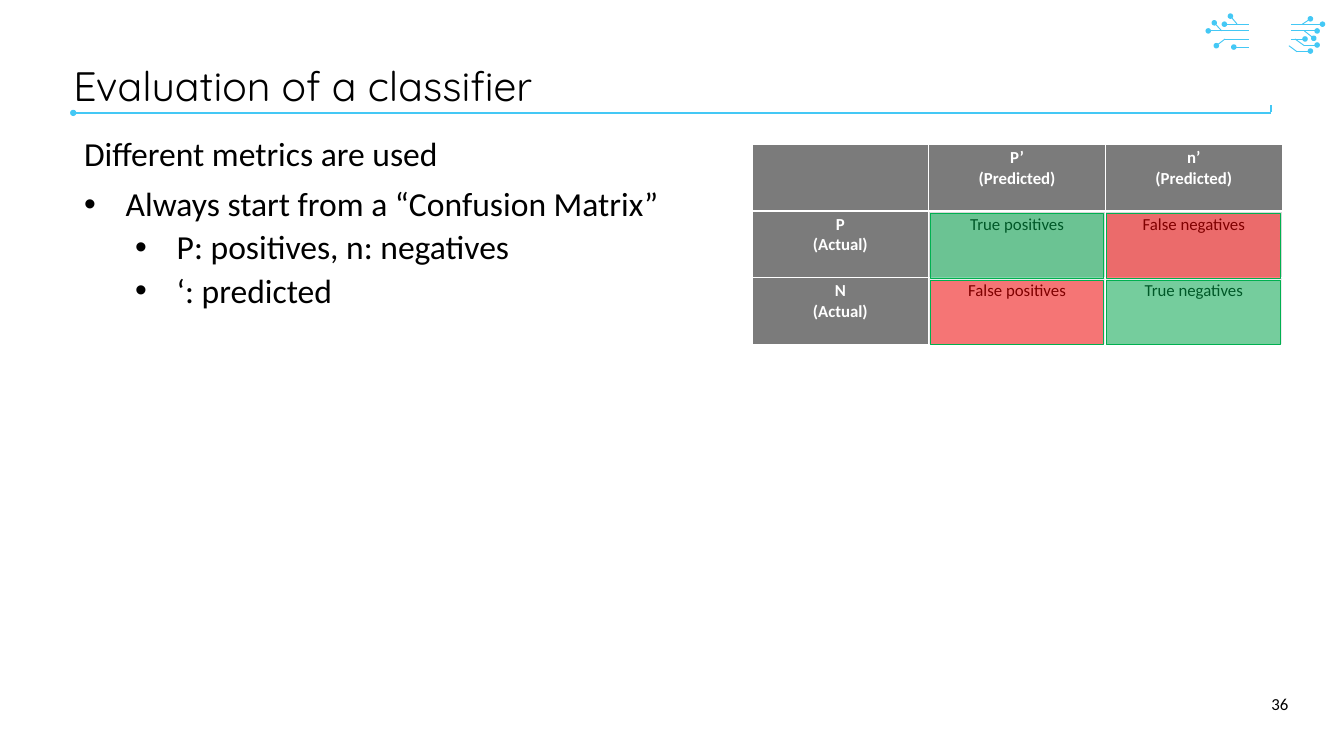
from dataclasses import dataclass
from typing import NamedTuple

from lxml import etree
from pptx import Presentation
from pptx import util as u
from pptx.dml.color import RGBColor
from pptx.enum import shapes, text
from pptx.oxml import ns

# The slide is a grid of 20 columns by 11.25 rows of square units
COLUMNS, ROWS = 20, 11.25
UNIT = u.Inches(1)


@dataclass(frozen=True)
class Theme:
    ink: str = "000000"
    paper: str = "FFFFFF"
    accent: str = "44C8F5"
    header: str = "7B7B7B"
    bands: tuple = ("D7D7D7", "ECECEC")
    correct: str = "00B050"
    wrong: str = "FF0000"
    heading_font: str = "Quicksand"
    body_font: str = "Calibri"
    title_size: float = 44
    body_size: float = 36
    small_size: float = 18


THEME = Theme()


class Box(NamedTuple):
    left: float
    top: float
    width: float
    height: float


class Trace(NamedTuple):
    x1: float
    y1: float
    x2: float
    y2: float
    dot: bool = True


class Item(NamedTuple):
    words: str
    level: int = 0
    margin: float = 0
    before: float = 0
    bullet: bool = True


CIRCUIT = [
    # left half
    Trace(18.58, 0.36, 18.22, 0.36), Trace(18.58, 0.46, 17.98, 0.46),
    Trace(18.58, 0.58, 18.22, 0.58, False), Trace(18.23, 0.58, 18.1, 0.68),
    Trace(18.58, 0.7, 18.36, 0.7), Trace(18.41, 0.36, 18.31, 0.24),
    Trace(18.18, 0.46, 18.07, 0.34),
    # right half
    Trace(19.21, 0.46, 19.6, 0.46), Trace(19.41, 0.68, 19.27, 0.58, False),
    Trace(19.4, 0.67, 19.6, 0.67), Trace(19.21, 0.58, 19.42, 0.58),
    Trace(19.41, 0.46, 19.55, 0.57), Trace(19.21, 0.36, 19.68, 0.36),
    Trace(19.3, 0.77, 19.18, 0.68, False), Trace(19.3, 0.76, 19.5, 0.76),
    Trace(19.38, 0.36, 19.5, 0.28),
]
TITLE_RULE = [Trace(18.91, 1.68, 1.09, 1.68), Trace(18.91, 1.67, 18.91, 1.57, False)]

ITEMS = [
    Item("Different metrics are used", bullet=False),
    Item("Always start from a “Confusion Matrix”", 0, 0.62, 15),
    Item("P: positives, n: negatives", 1, 1.38, 7.5),
    Item("‘: predicted", 1, 1.38, 7.5),
]
HANGING = 0.62

MATRIX = [
    [[], ["P’", "(Predicted)"], ["n’", "(Predicted)"]],
    [["P", "(Actual)"], ["True positives"], ["False negatives"]],
    [["N", "(Actual)"], ["False positives"], ["True negatives"]],
]
MATRIX_LEFT, MATRIX_TOP = 11.19, 2.15
CELL_WIDTH, CELL_HEIGHT = 2.63, 0.99


def grid(value: float) -> int:
    return int(value * UNIT)


def place(shape, box: Box) -> None:
    shape.left, shape.top, shape.width, shape.height = map(grid, box)


def add_element(parent, tag: str, **attributes: str):
    return etree.SubElement(parent, ns.qn(tag), **attributes)


def add_run(paragraph, words: str, size: float, color: str = THEME.ink,
            font: str = THEME.body_font, bold: bool = False) -> None:
    run = paragraph.add_run()
    run.text = words
    run.font.name, run.font.size, run.font.bold = font, u.Pt(size), bold
    run.font.color.rgb = RGBColor.from_string(color)


def add_trace(slide, trace: Trace, width: float) -> None:
    line = slide.shapes.add_connector(
        shapes.MSO_CONNECTOR.STRAIGHT, *map(grid, trace[:4]))
    line.line.color.rgb = RGBColor.from_string(THEME.accent)
    line.line.width = u.Pt(width)
    if trace.dot:
        add_element(line.line._get_or_add_ln(), "a:tailEnd", type="oval")
    add_element(line._element.spPr, "a:effectLst")


def add_title(slide, words: str) -> None:
    title = slide.shapes.title
    place(title, Box(1.09, 0.97, 16.39, 0.69))
    frame = title.text_frame
    frame.auto_size = text.MSO_AUTO_SIZE.NONE
    frame.margin_left = frame.margin_right = frame.margin_top = frame.margin_bottom = 0
    paragraph = frame.paragraphs[0]
    paragraph.alignment = text.PP_ALIGN.LEFT
    paragraph.line_spacing = 0.9
    add_run(paragraph, words, THEME.title_size, font=THEME.heading_font)


def add_list(slide, items: list[Item]) -> None:
    body = slide.placeholders[1]
    place(body, Box(1.15, 1.99, 18.13, 6.68))
    frame = body.text_frame
    frame.auto_size = text.MSO_AUTO_SIZE.NONE
    for index, item in enumerate(items):
        paragraph = frame.add_paragraph() if index else frame.paragraphs[0]
        paragraph.level = item.level
        properties = paragraph._p.get_or_add_pPr()
        properties.set("marL", str(grid(item.margin)))
        properties.set("indent", str(-grid(HANGING) if item.bullet else 0))
        if item.bullet:
            add_element(properties, "a:buFont", typeface="Arial")
            add_element(properties, "a:buChar", char="•")
        else:
            add_element(properties, "a:buNone")
        paragraph.line_spacing = 0.9
        paragraph.space_before = u.Pt(item.before)
        add_run(paragraph, item.words, THEME.body_size)


def add_page_number(slide, number: str) -> None:
    box = slide.shapes.add_textbox(0, 0, 0, 0)
    place(box, Box(18.18, 10.18, 1.09, 0.6))
    frame = box.text_frame
    frame.word_wrap = True
    frame.vertical_anchor = text.MSO_ANCHOR.MIDDLE
    paragraph = frame.paragraphs[0]
    paragraph.alignment = text.PP_ALIGN.RIGHT
    add_run(paragraph, number, THEME.small_size)


def add_border(cell, side: str, width: float) -> None:
    line = add_element(cell._tc.get_or_add_tcPr(), f"a:ln{side}", w=str(u.Pt(width)))
    add_element(add_element(line, "a:solidFill"), "a:srgbClr", val=THEME.paper)


def add_matrix(slide) -> None:
    size = len(MATRIX)
    table = slide.shapes.add_table(
        size, size, grid(MATRIX_LEFT), grid(MATRIX_TOP),
        grid(size * CELL_WIDTH), grid(size * CELL_HEIGHT)).table
    table.horz_banding = False
    for index in range(size):
        table.columns[index].width = grid(CELL_WIDTH)
        table.rows[index].height = grid(CELL_HEIGHT)
    for row, cells in enumerate(MATRIX):
        for column, lines in enumerate(cells):
            cell = table.cell(row, column)
            is_header = row == 0 or column == 0
            for side in "LRTB":
                under_header = (row, side) in ((0, "B"), (1, "T"))
                add_border(cell, side, 3 if under_header else 1)
            cell.fill.solid()
            cell.fill.fore_color.rgb = RGBColor.from_string(
                THEME.header if is_header else THEME.bands[row - 1])
            frame = cell.text_frame
            for index, words in enumerate(lines):
                paragraph = frame.add_paragraph() if index else frame.paragraphs[0]
                paragraph.alignment = text.PP_ALIGN.CENTER
                add_run(paragraph, words, THEME.small_size,
                        THEME.paper if is_header else THEME.ink, bold=is_header)


def add_highlight(slide, row: int, column: int) -> None:
    """Tint one outcome cell: green on the diagonal, red elsewhere."""
    shape = slide.shapes.add_shape(shapes.MSO_SHAPE.RECTANGLE, 0, 0, 0, 0)
    place(shape, Box(MATRIX_LEFT + column * CELL_WIDTH + 0.02,
                     MATRIX_TOP + row * CELL_HEIGHT + 0.04, 2.58, 0.96))
    shape.shadow.inherit = False
    shape.fill.solid()
    shape.fill.fore_color.rgb = RGBColor.from_string(
        THEME.correct if row == column else THEME.wrong)
    color = shape._element.spPr.find(ns.qn("a:solidFill")).find(ns.qn("a:srgbClr"))
    add_element(color, "a:alpha", val="50000")
    shape.line.color.rgb = RGBColor.from_string(THEME.correct)
    shape.line.width = u.Pt(1)


def main() -> None:
    presentation = Presentation()
    presentation.slide_width, presentation.slide_height = grid(COLUMNS), grid(ROWS)
    slide = presentation.slides.add_slide(presentation.slide_layouts[1])

    # Decoration
    for trace in CIRCUIT:
        add_trace(slide, trace, 1)
    for trace in TITLE_RULE:
        add_trace(slide, trace, 2.25)

    # Text
    add_title(slide, "Evaluation of a classifier")
    add_list(slide, ITEMS)
    add_page_number(slide, "36")

    # Confusion matrix with tinted outcomes
    add_matrix(slide)
    for row in (1, 2):
        for column in (1, 2):
            add_highlight(slide, row, column)

    presentation.save("out.pptx")


if __name__ == "__main__":
    main()
